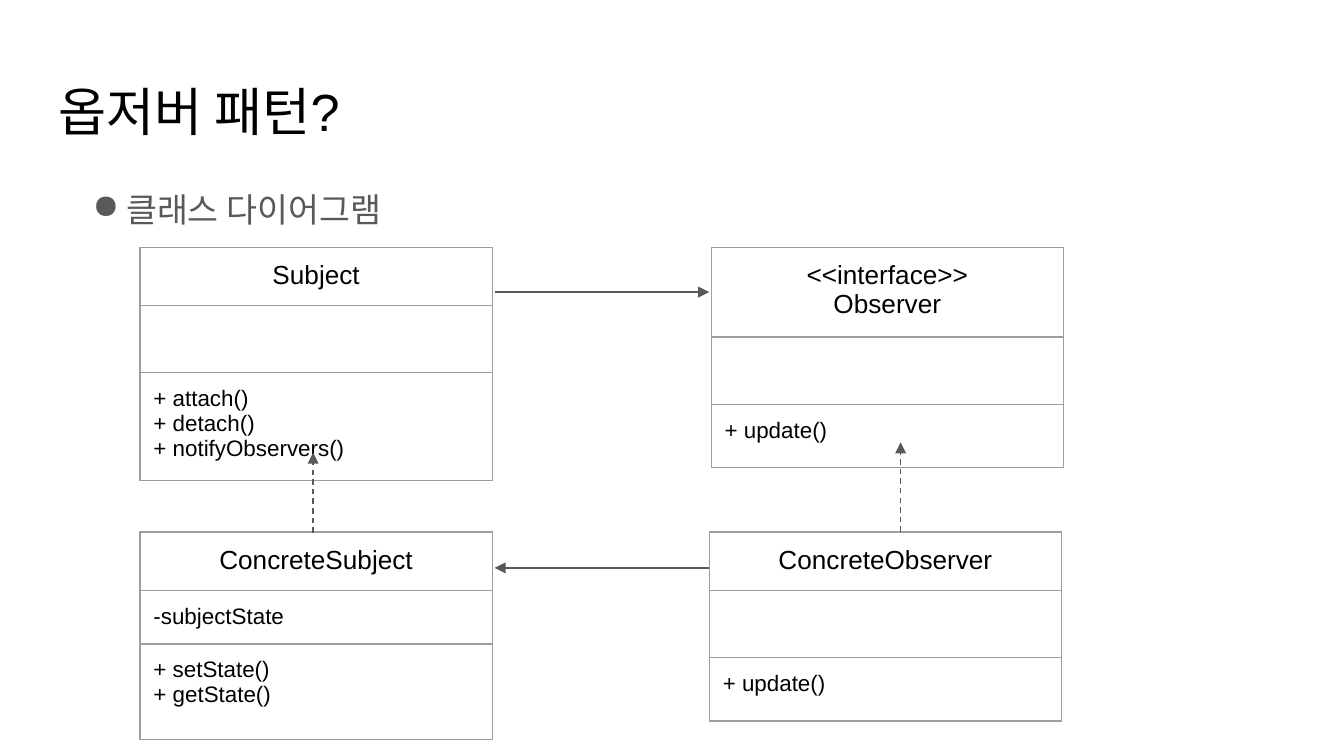
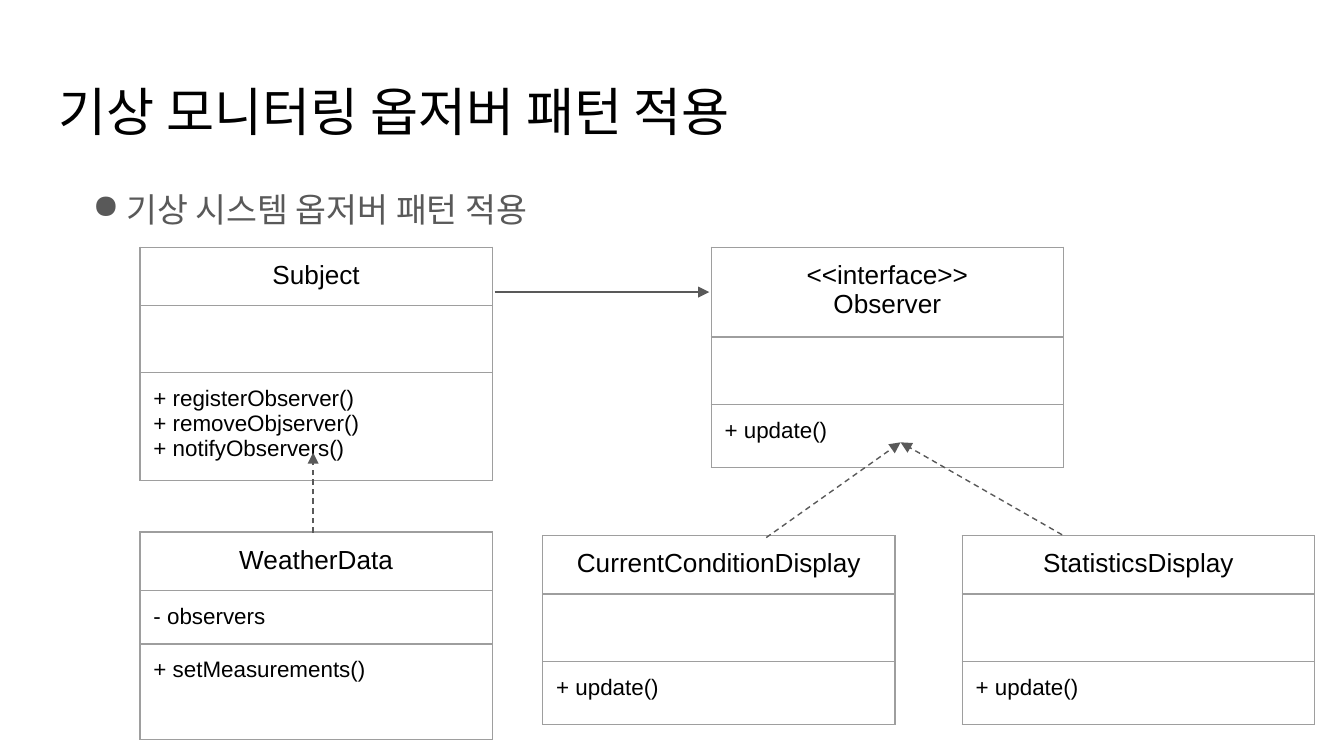
from dataclasses import dataclass

from lxml.etree import SubElement
from pptx import Presentation
from pptx.dml.color import RGBColor
from pptx.enum.dml import MSO_LINE
from pptx.enum.shapes import MSO_CONNECTOR
from pptx.enum.text import PP_ALIGN
from pptx.oxml import parse_xml
from pptx.oxml.ns import nsdecls, qn
from pptx.util import Pt

COLORS = {"ink": "000000", "gray": "595959", "rule": "9E9E9E", "page": "FFFFFF"}
FONT = "Arial"
PAD = 7.2
FRAME = 236
WIDTH = 188.75
STROKE = 0.75
LEFT, RIGHT, TOP, LOW = 75, 381, 132.5, 285


@dataclass(frozen=True)
class Style:
    size: float
    color: str = "ink"
    align: PP_ALIGN = PP_ALIGN.LEFT


@dataclass(frozen=True)
class Box:
    left: float
    top: float
    rows: tuple
    name: str
    fields: str
    calls: str


@dataclass(frozen=True)
class Arrow:
    start: tuple
    end: tuple
    dashed: bool = False


@dataclass(frozen=True)
class Page:
    title: str
    topic: str
    boxes: tuple
    arrows: tuple


TITLE = Style(28)
TOPIC = Style(18, "gray")
HEAD = Style(14, align=PP_ALIGN.CENTER)
BODY = Style(12)


def apply(item, values: dict) -> None:
    for key, value in values.items():
        setattr(item, key, value)


def tint(key: str) -> RGBColor:
    return RGBColor.from_string(COLORS[key])


def write(frame, text: str, style: Style) -> None:
    frame.text = text
    for para in frame.paragraphs:
        para.alignment = style.align
        for run in para.runs:
            apply(run.font, {"name": FONT, "size": Pt(style.size)})
            run.font.color.rgb = tint(style.color)


def add_text(slide, top: float, height: float, text: str, style: Style):
    frame = slide.shapes.add_textbox(Pt(24.5), Pt(top), Pt(671), Pt(height)).text_frame
    sides = ("left", "right", "top", "bottom")
    apply(frame, {f"margin_{side}": Pt(PAD) for side in sides})
    frame.word_wrap = True
    write(frame, text, style)
    return frame.paragraphs[0]


def add_topic(slide, text: str) -> None:
    para = add_text(slide, 90.75, 269, text, TOPIC)
    apply(para, {"line_spacing": 1.15, "space_after": Pt(16)})
    props = para._p.get_or_add_pPr()
    props.set("marL", str(Pt(36)))
    props.set("indent", str(Pt(-18)))
    color = SubElement(props, qn("a:buClr"))
    SubElement(color, qn("a:srgbClr")).set("val", COLORS["gray"])
    SubElement(props, qn("a:buChar")).set("char", "●")


def add_rules(cell) -> None:
    props = cell._tc.get_or_add_tcPr()
    for spot, side in enumerate("LRTB"):
        props.insert(spot, parse_xml(
            f'<a:ln{side} {nsdecls("a")} w="{Pt(STROKE)}"><a:solidFill>'
            f'<a:srgbClr val="{COLORS["rule"]}"/></a:solidFill></a:ln{side}>'
        ))


def add_box(slide, box: Box) -> None:
    frame = slide.shapes.add_table(
        3, 1, Pt(box.left), Pt(box.top), Pt(FRAME), Pt(FRAME)
    )
    table = frame.table
    apply(table, {"first_row": False, "horz_banding": False})
    table.columns[0].width = Pt(WIDTH)
    sides = ("left", "right", "top", "bottom")
    parts = ((box.name, HEAD), (box.fields, BODY), (box.calls, BODY))
    for index, (text, style) in enumerate(parts):
        table.rows[index].height = Pt(box.rows[index])
        cell = table.cell(index, 0)
        apply(cell, {f"margin_{side}": Pt(PAD) for side in sides})
        cell.fill.background()
        add_rules(cell)
        if text:
            write(cell.text_frame, text, style)
    apply(frame, {"width": Pt(FRAME), "height": Pt(FRAME)})


def add_arrow(slide, arrow: Arrow) -> None:
    ends = [Pt(value) for value in (*arrow.start, *arrow.end)]
    link = slide.shapes.add_connector(MSO_CONNECTOR.STRAIGHT, *ends)
    link.line.color.rgb = tint("gray")
    link.line.width = Pt(STROKE)
    if arrow.dashed:
        link.line.dash_style = MSO_LINE.DASH
    props = link.element.spPr
    SubElement(props.find(qn("a:ln")), qn("a:tailEnd")).set("type", "triangle")
    SubElement(props, qn("a:effectLst"))


def subject(calls: str) -> Box:
    return Box(LEFT, TOP, (31, 8, 47), "Subject", "", calls)


def source(name: str, fields: str, calls: str) -> Box:
    return Box(LEFT, LOW, (31, 8, 51), name, fields, calls)


def viewer(left: float, top: float, name: str) -> Box:
    return Box(left, top, (17, 19, 34), name, "", "+ update()")


TARGET = Box(RIGHT, TOP, (42, 19, 34), "<<interface>>\nObserver", "", "+ update()")
TIP = (482.5, 237)
SHARED = (
    Arrow((265, 156.5), (380, 156.5)),
    Arrow((167.75, 285.5), (167.75, 242.5), True),
)

PAGES = (
    Page(
        "옵저버 패턴?",
        "클래스 다이어그램",
        (
            subject("+ attach()\n+ detach()\n+ notifyObservers()"),
            TARGET,
            source("ConcreteSubject", "-subjectState", "+ setState()\n+ getState()"),
            viewer(380, LOW, "ConcreteObserver"),
        ),
        (
            *SHARED,
            Arrow((482.5, LOW), TIP, True),
            Arrow((380, 304.25), (265, 304.25)),
        ),
    ),
    Page(
        "기상 모니터링 옵저버 패턴 적용",
        "기상 시스템 옵저버 패턴 적용",
        (
            subject("+ registerObserver()\n+ removeObjserver()\n+ notifyObservers()"),
            TARGET,
            source("WeatherData", "- observers", "+ setMeasurements()"),
            viewer(290.75, 287, "CurrentConditionDisplay"),
            viewer(515.5, 287, "StatisticsDisplay"),
        ),
        (
            *SHARED,
            Arrow((410.5, 288), TIP, True),
            Arrow((569, 286.5), TIP, True),
        ),
    ),
)


def add_page(deck, page: Page) -> None:
    slide = deck.slides.add_slide(deck.slide_layouts[6])
    slide.background.fill.solid()
    slide.background.fill.fore_color.rgb = tint("page")
    add_text(slide, 35.25, 45, page.title, TITLE)
    add_topic(slide, page.topic)
    for box in page.boxes:
        add_box(slide, box)
    for arrow in page.arrows:
        add_arrow(slide, arrow)


def main() -> None:
    deck = Presentation()
    apply(deck, {"slide_width": Pt(720), "slide_height": Pt(405)})
    for page in PAGES:
        add_page(deck, page)
    deck.save("out.pptx")


if __name__ == "__main__":
    main()
